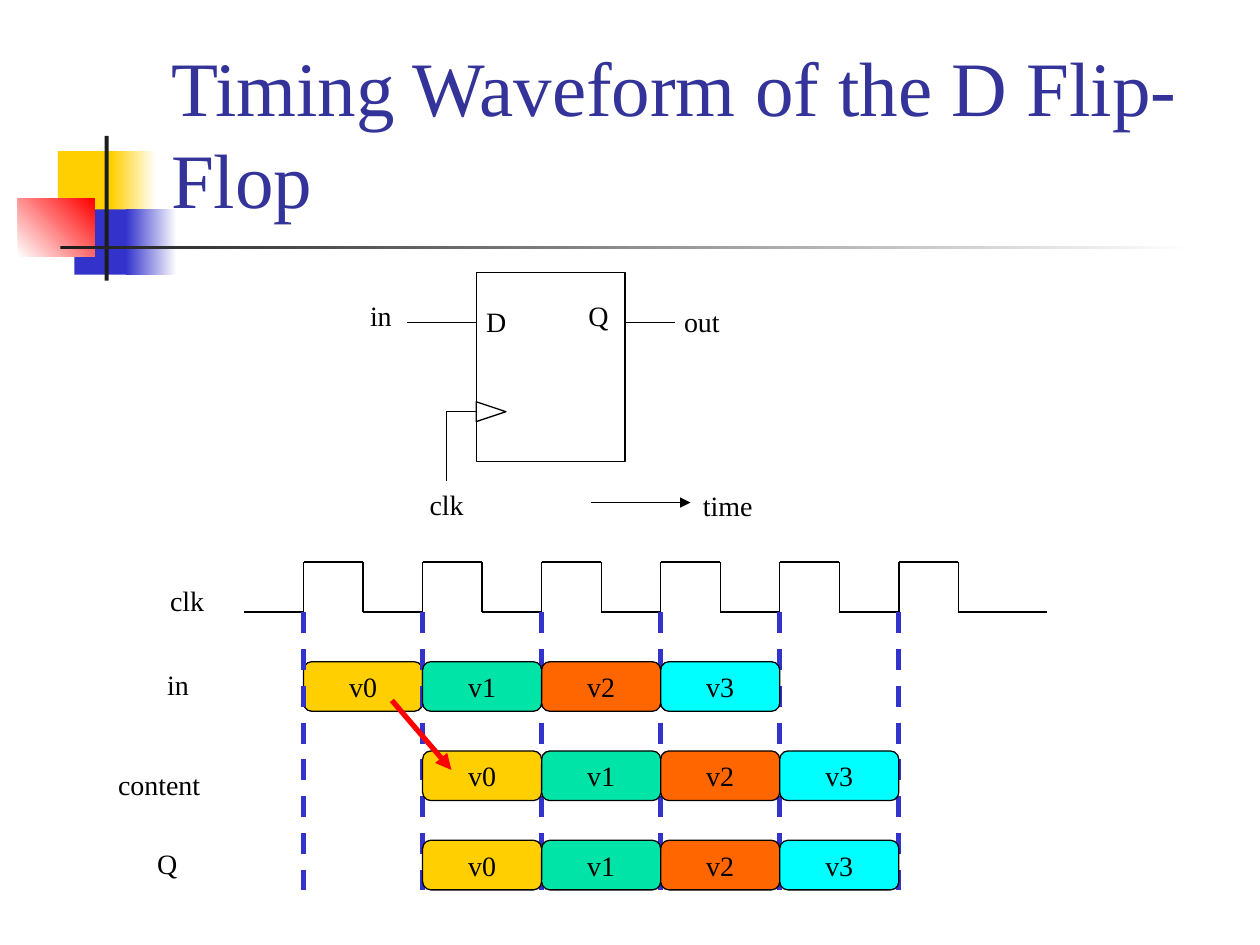
"""Build the slide on the timing waveform of the D flip-flop."""
import dataclasses
import itertools

import lxml.etree
import pptx
import pptx.dml.color
import pptx.enum.dml
import pptx.enum.shapes
import pptx.enum.text
import pptx.oxml.ns
import pptx.util

Cm = pptx.util.Cm
Pt = pptx.util.Pt
RGB = pptx.dml.color.RGBColor.from_string
Kind = pptx.enum.shapes.MSO_SHAPE
Align = pptx.enum.text.PP_ALIGN
Anchor = pptx.enum.text.MSO_ANCHOR


@dataclasses.dataclass(frozen=True)
class Theme:
    font: str = "Times New Roman"
    title: str = "333399"
    ink: str = "000000"
    paper: str = "FFFFFF"
    bar: str = "1C1C1C"
    gold: str = "FFCF01"
    blue: str = "3333CC"
    red: str = "FF0000"
    green: str = "00E4A8"
    orange: str = "FF6600"
    cyan: str = "00FFFF"
    large: int = 44
    small: int = 16
    thin: float = 0.75
    thick: float = 3


theme = Theme()
deck = pptx.Presentation()
deck.slide_width, deck.slide_height = Cm(25.4), Cm(19.05)
slide = deck.slides.add_slide(deck.slide_layouts[6])


def form(kind, box, fill=None, edge=None):
    shape = slide.shapes.add_shape(kind, *map(Cm, box))
    shape.shadow.inherit = False
    if fill:
        shape.fill.solid()
        shape.fill.fore_color.rgb = RGB(fill)
    else:
        shape.fill.background()
    if edge:
        shape.line.color.rgb = RGB(edge)
        shape.line.width = Pt(theme.thin)
    else:
        shape.line.fill.background()
    return shape


def wire(start, end, color=theme.ink, width=theme.thin, arrow=False):
    line = slide.shapes.add_connector(
        pptx.enum.shapes.MSO_CONNECTOR.STRAIGHT, *map(Cm, (*start, *end)))
    line.line.color.rgb = RGB(color)
    line.line.width = Pt(width)
    if arrow:
        tip = lxml.etree.SubElement(line.get_or_add_ln(), pptx.oxml.ns.qn("a:tailEnd"))
        tip.set("type", "triangle")
    lxml.etree.SubElement(line._element.spPr, pptx.oxml.ns.qn("a:effectLst"))
    return line


decor = [
    ((1.17, 3.05, 1.22, 1.32), theme.gold, theme.gold, 0),
    ((2.24, 3.05, 0.91, 1.32), theme.gold, theme.paper, 0),
    ((1.5, 4.22, 1.17, 1.32), theme.blue, theme.blue, 0),
    ((2.54, 4.22, 1.02, 1.32), theme.blue, theme.paper, 0),
    ((0.36, 4.01, 1.55, 1.17), theme.paper, theme.red, 45),
    ((2.11, 2.74, 0.08, 2.92), theme.bar, theme.bar, 0),
    ((1.22, 4.95, 22.86, 0.08), theme.bar, theme.paper, 0),
]
for box, first, last, angle in decor:
    shape = form(Kind.RECTANGLE, box, first)
    if first != last:
        shape.fill.gradient()
        shape.fill.gradient_angle = angle
        for stop, color in zip(shape.fill.gradient_stops, (first, last)):
            stop.color.rgb = RGB(color)

title = slide.shapes.add_textbox(Cm(3.2), Cm(0.58), Cm(21.64), Cm(4.06)).text_frame
title.word_wrap = True
title.vertical_anchor = Anchor.BOTTOM
texts = [(title, "Timing Waveform of the D Flip-Flop", theme.large, theme.title, Align.LEFT)]

form(Kind.RECTANGLE, (9.6, 5.5, 3, 3.8), edge=theme.ink)
form(Kind.ISOSCELES_TRIANGLE, (9.7, 8, 0.4, 0.6), edge=theme.ink).rotation = 90
for start, end in [((12.6, 6.5), (13.6, 6.5)), ((9.6, 6.5), (8.2, 6.5)),
                   ((9.6, 8.3), (9, 8.3)), ((9, 8.3), (9, 9.7))]:
    wire(start, end)

left, step, high, low, base = 6.12, 2.4, 11.33, 12.34, 17.94
edges = [left + step * i for i in range(6)]
wave = [(left - step / 2, low)]
for x in edges:
    wave += [(x, low), (x, high), (x + step / 2, high), (x + step / 2, low)]
wave.append((21.1, low))
for start, end in itertools.pairwise(wave):
    wire(start, end)

fills = [theme.gold, theme.green, theme.orange, theme.cyan]
cells = [(row, i) for row in range(3) for i in range(4)]
for row, i in cells:
    spot = (edges[i + min(row, 1)], 13.34 + 1.8 * row, step, 1)
    cell = form(Kind.ROUNDED_RECTANGLE, spot, fills[i], theme.ink)
    frame = cell.text_frame
    frame.word_wrap = False
    frame.vertical_anchor = Anchor.MIDDLE
    texts.append((frame, f"v{i}", theme.small, theme.ink, Align.CENTER))
    if (row, i) == cells[0]:
        for x in edges:
            dash = wire((x, low), (x, base), theme.blue, theme.thick)
            dash.line.dash_style = pptx.enum.dml.MSO_LINE.DASH

wire((11.91, 10.13), (13.92, 10.13), arrow=True)
wire((7.9, 14.12), (9.1, 15.52), theme.red, theme.thick, arrow=True)

labels = [
    ("time", 13.92, 9.73, 1.5), ("D", 9.55, 6.02, 0.91), ("Q", 11.61, 5.89, 0.91),
    ("in", 7.21, 5.89, 0.94), ("out", 13.54, 6.02, 1.22), ("clk", 8.41, 9.7, 1.19),
    ("clk", 3.18, 11.63, 1.19), ("in", 3.12, 13.34, 0.94),
    ("content", 2.13, 15.34, 2.16), ("Q", 2.92, 16.94, 0.91),
]
for words, x, y, width in labels:
    frame = slide.shapes.add_textbox(Cm(x), Cm(y), Cm(width), Cm(0.94)).text_frame
    frame.word_wrap = False
    frame.auto_size = pptx.enum.text.MSO_AUTO_SIZE.SHAPE_TO_FIT_TEXT
    texts.append((frame, words, theme.small, theme.ink, Align.LEFT))

for frame, words, size, color, align in texts:
    para = frame.paragraphs[0]
    para.alignment = align
    run = para.add_run()
    run.text = words
    run.font.name = theme.font
    run.font.size = Pt(size)
    run.font.color.rgb = RGB(color)

deck.save("out.pptx")
